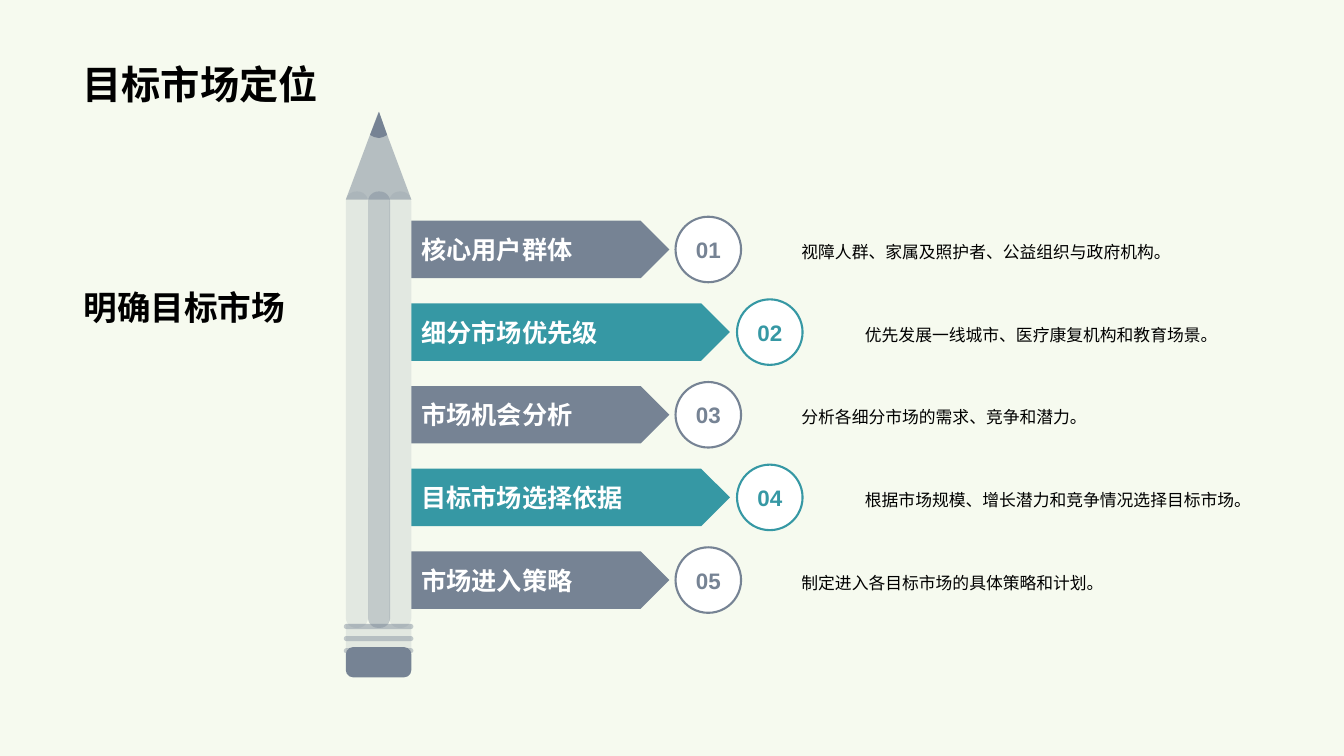
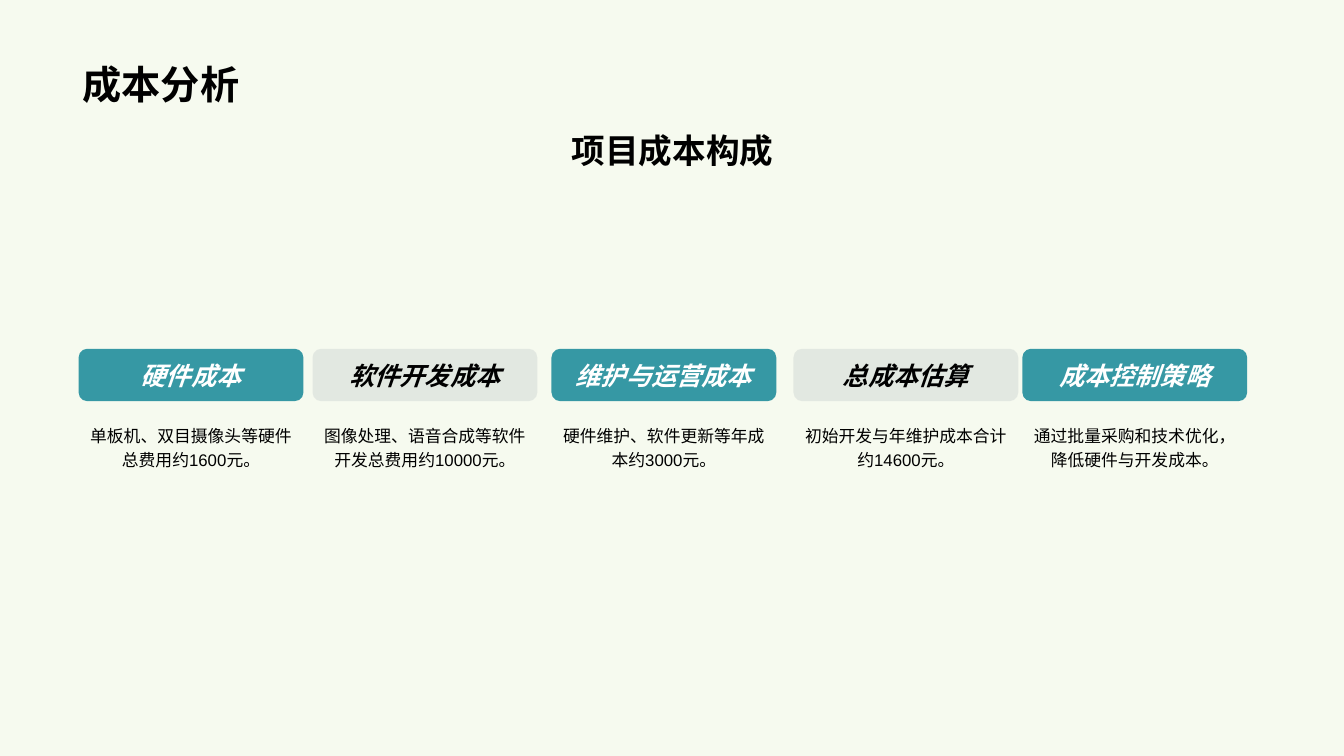
from dataclasses import dataclass

from pptx import Presentation
from pptx.dml.color import RGBColor
from pptx.enum.shapes import MSO_SHAPE as SHAPE
from pptx.enum.text import MSO_ANCHOR as ANCHOR, MSO_AUTO_SIZE as AUTO, PP_ALIGN as ALIGN
from pptx.oxml.ns import qn
from pptx.util import Inches, Pt

FONT = "Arial"
COLORS = {
    "background": "F6FAEF",
    "slate": "768394",
    "teal": "3698A4",
    "white": "FFFFFF",
    "black": "000000",
}


@dataclass(frozen=True)
class Arm:
    """Horizontal measures of one kind of banner row."""
    color: str
    width: float
    circle_x: float
    text_x: float


@dataclass(frozen=True)
class Segment:
    label: str
    detail: str


@dataclass(frozen=True)
class CostItem:
    x: float
    label: str
    detail: str


@dataclass(frozen=True)
class PencilPart:
    kind: SHAPE
    box: tuple[float, float, float, float]
    alpha: int
    radius: float | None = None


ARMS = (Arm("slate", 2.56, 6.7, 7.85), Arm("teal", 3.16, 7.31, 8.48))
SEGMENTS = (
    Segment("核心用户群体", "视障人群、家属及照护者、公益组织与政府机构。"),
    Segment("细分市场优先级", "优先发展一线城市、医疗康复机构和教育场景。"),
    Segment("市场机会分析", "分析各细分市场的需求、竞争和潜力。"),
    Segment("目标市场选择依据", "根据市场规模、增长潜力和竞争情况选择目标市场。"),
    Segment("市场进入策略", "制定进入各目标市场的具体策略和计划。"),
)
COSTS = (
    CostItem(0.78, "硬件成本", "单板机、双目摄像头等硬件总费用约1600元。"),
    CostItem(3.1, "软件开发成本", "图像处理、语音合成等软件开发总费用约10000元。"),
    CostItem(5.47, "维护与运营成本", "硬件维护、软件更新等年成本约3000元。"),
    CostItem(7.87, "总成本估算", "初始开发与年维护成本合计约14600元。"),
    CostItem(10.14, "成本控制策略", "通过批量采购和技术优化，降低硬件与开发成本。"),
)
PENCIL_X, PENCIL_W = 3.43, 0.65
STRIP_W = 0.22
PENCIL = (
    PencilPart(SHAPE.ROUNDED_RECTANGLE, (PENCIL_X, 6.42, PENCIL_W, 0.3), 100, 0.24),
    PencilPart(SHAPE.ISOSCELES_TRIANGLE, (PENCIL_X, 1.11, PENCIL_W, 0.87), 50),
    *(PencilPart(SHAPE.ROUNDED_RECTANGLE, (x, 1.9, STRIP_W, 4.33), alpha, 0.46)
      for x, alpha in ((3.65, 40), (3.86, 15), (3.43, 15))),
    PencilPart(SHAPE.RECTANGLE, (PENCIL_X, 6.19, PENCIL_W, 0.29), 15),
    *(PencilPart(SHAPE.ROUNDED_RECTANGLE, (3.41, 6.19 + 0.12 * i, 0.69, 0.05), 40, 0.5)
      for i in range(3)),
)
TIP = ((3.76, 1.11), (3.67, 1.34), (3.71, 1.36), (3.76, 1.37), (3.8, 1.36), (3.84, 1.34))


def rgb(name: str) -> RGBColor:
    return RGBColor.from_string(COLORS[name])


def set_text(sp, text: str, *, size: float, color: str = "black", bold: bool = False,
             italic: bool = False, align=ALIGN.LEFT, anchor=ANCHOR.MIDDLE,
             spacing: float = 1.0) -> None:
    tf = sp.text_frame
    tf.word_wrap = True
    tf.auto_size = AUTO.NONE
    tf.vertical_anchor = anchor
    p = tf.paragraphs[0]
    p.alignment = align
    p.line_spacing = spacing
    r = p.add_run()
    r.text = text
    font = r.font
    font.name, font.size, font.bold, font.italic = FONT, Pt(size), bold, italic
    font.color.rgb = rgb(color)
    east_asian = r._r.get_or_add_rPr().makeelement(qn("a:ea"), {"typeface": FONT})
    r._r.rPr.find(qn("a:latin")).addnext(east_asian)


def paint(sp, color: str, alpha: int = 100, line: str | None = None) -> None:
    sp.shadow.inherit = False
    sp.fill.solid()
    sp.fill.fore_color.rgb = rgb(color)
    if alpha < 100:
        clr = sp._element.spPr.find(qn("a:solidFill")).find(qn("a:srgbClr"))
        clr.append(clr.makeelement(qn("a:alpha"), {"val": str(alpha * 1000)}))
    if line:
        sp.line.color.rgb = rgb(line)
        sp.line.width = Pt(1.5)
    else:
        sp.line.fill.background()


def add_shape(slide, kind, x: float, y: float, w: float, h: float, color: str,
              alpha: int = 100, line: str | None = None):
    sp = slide.shapes.add_shape(kind, Inches(x), Inches(y), Inches(w), Inches(h))
    paint(sp, color, alpha, line)
    return sp


def add_text(slide, text: str, x: float, y: float, w: float, h: float, **fmt) -> None:
    sp = slide.shapes.add_textbox(Inches(x), Inches(y), Inches(w), Inches(h))
    set_text(sp, text, **fmt)


def add_slide(prs, title: str):
    slide = prs.slides.add_slide(prs.slide_layouts[5])
    sp = slide.shapes.title
    sp.left, sp.top, sp.width, sp.height = map(Inches, (0.72, 0.14, 11.88, 0.98))
    set_text(sp, title, size=28, bold=True, anchor=ANCHOR.BOTTOM)
    return slide


def draw_pencil(slide) -> None:
    for part in PENCIL:
        sp = add_shape(slide, part.kind, *part.box, "slate", part.alpha)
        if part.radius is not None:
            sp.adjustments[0] = part.radius
    start, *rest = [(Inches(x), Inches(y)) for x, y in TIP]
    builder = slide.shapes.build_freeform(*start)
    builder.add_line_segments(rest, close=True)
    paint(builder.convert_to_shape(), "slate")


def build_market_slide(prs) -> None:
    slide = add_slide(prs, "目标市场定位")
    add_text(slide, "明确目标市场", 0.73, 1.3, 2.34, 2, size=24, bold=True,
             anchor=ANCHOR.BOTTOM)
    # Banner rows alternate between the short and the long arm
    for i, segment in enumerate(SEGMENTS):
        arm = ARMS[i % 2]
        y = 2.19 + 0.82 * i
        banner = add_shape(slide, SHAPE.PENTAGON, 4.08, y, arm.width, 0.57, arm.color)
        set_text(banner, segment.label, size=18, color="white", bold=True)
        circle = add_shape(slide, SHAPE.OVAL, arm.circle_x, y - 0.04, 0.65, 0.65,
                           "white", line=arm.color)
        set_text(circle, f"{i + 1:02}", size=16, color=arm.color, bold=True,
                 align=ALIGN.CENTER)
        add_text(slide, segment.detail, arm.text_x, y - 0.03, 12.6 - arm.text_x, 0.64,
                 size=12, spacing=1.2)
    draw_pencil(slide)


def build_cost_slide(prs) -> None:
    slide = add_slide(prs, "成本分析")
    add_text(slide, "项目成本构成", 0.74, 1.24, 11.86, 1.29, size=24, bold=True,
             align=ALIGN.CENTER, anchor=ANCHOR.TOP)
    # Cost columns alternate between teal and pale headers
    for i, item in enumerate(COSTS):
        fill, alpha, ink = (("teal", 100, "white"), ("slate", 15, "black"))[i % 2]
        header = add_shape(slide, SHAPE.ROUNDED_RECTANGLE, item.x, 3.46, 2.23, 0.52,
                           fill, alpha)
        set_text(header, item.label, size=18, color=ink, bold=True, italic=True,
                 align=ALIGN.CENTER)
        add_text(slide, item.detail, item.x, 4.13, 2.23, 2.58, size=12, spacing=1.2,
                 align=ALIGN.CENTER, anchor=ANCHOR.TOP)


def main() -> None:
    prs = Presentation()
    prs.slide_width, prs.slide_height = Inches(13.33), Inches(7.5)
    fill = prs.slide_master.background.fill
    fill.solid()
    fill.fore_color.rgb = rgb("background")
    build_market_slide(prs)
    build_cost_slide(prs)
    prs.save("out.pptx")


if __name__ == "__main__":
    main()
